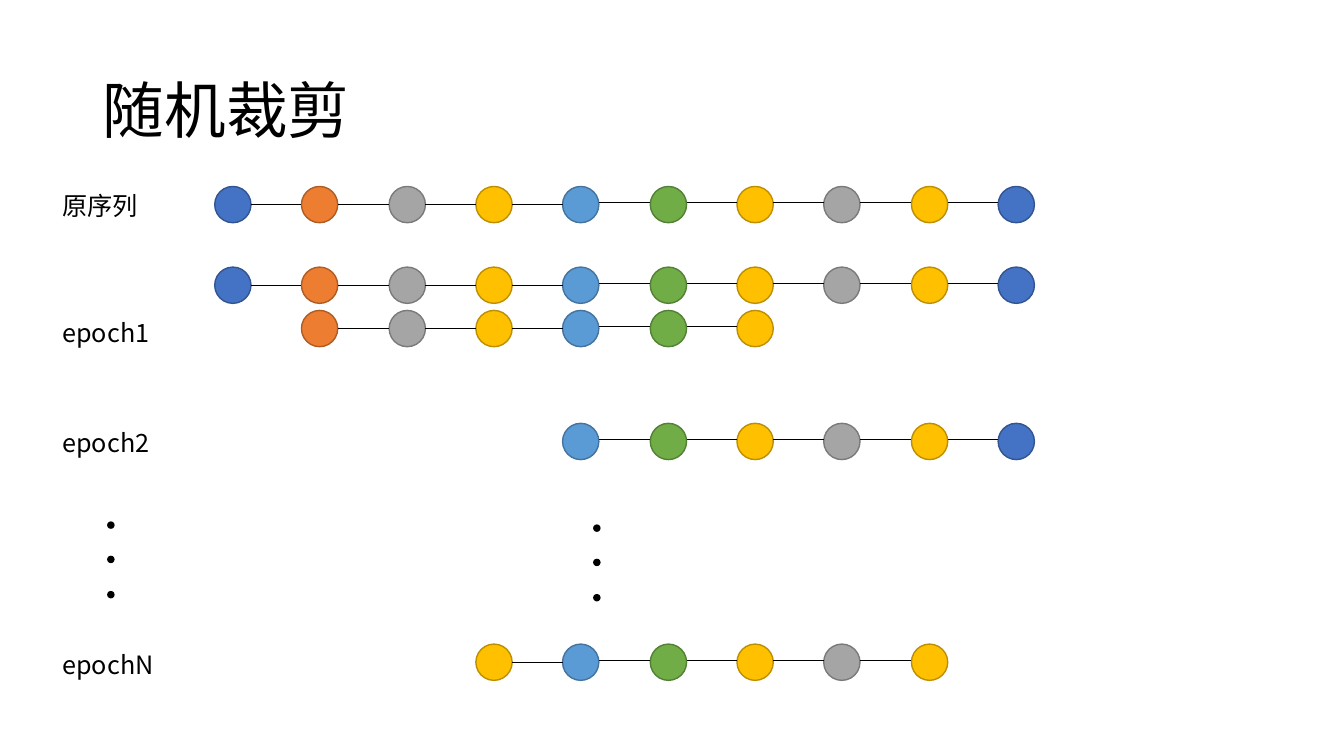
from dataclasses import dataclass

from lxml import etree
from pptx import Presentation
from pptx.dml.color import RGBColor
from pptx.enum import shapes, text
from pptx.oxml import ns
from pptx.util import Pt

PX = 9144
NODE_SIZE = 36
FIRST_LEFT, LAST_LEFT = 213, 990
DOT_SIZE = 6


@dataclass(frozen=True)
class Theme:
    """Colours, type sizes and line widths of the slide."""
    font: str = "Noto Sans CJK SC"
    ink: str = "000000"
    blue: tuple = ("4472C4", "325491")
    orange: tuple = ("ED7D31", "AF5C24")
    grey: tuple = ("A5A5A5", "7A7A7A")
    yellow: tuple = ("FFC000", "BD8E00")
    sky: tuple = ("5B9BD5", "43739E")
    green: tuple = ("70AD47", "538035")
    title_size: int = 44
    label_size: int = 18
    outline: float = 1
    link: float = 0.5


THEME = Theme()
SEQUENCE = [
    THEME.blue, THEME.orange, THEME.grey, THEME.yellow, THEME.sky,
    THEME.green, THEME.yellow, THEME.grey, THEME.yellow, THEME.blue,
]


def px(*lengths):
    """Turn pixel lengths into EMU."""
    return [length * PX for length in lengths]


def rgb(code):
    """Make a colour from its hex code."""
    return RGBColor.from_string(code)


def write(paragraph, words, size):
    """Add one run in the theme font, for Latin and East Asian text."""
    run = paragraph.add_run()
    run.text = words
    run.font.name = THEME.font
    run.font.size = Pt(size)
    run.font.color.rgb = rgb(THEME.ink)
    east_asian = etree.SubElement(run.font._element, ns.qn("a:ea"))
    east_asian.set("typeface", THEME.font)


def set_title(slide, words):
    """Place and fill the title placeholder."""
    title = slide.shapes.title
    title.left, title.top, title.width, title.height = px(92, 40, 1150, 145)
    frame = title.text_frame
    frame.auto_size = text.MSO_AUTO_SIZE.NONE
    frame.vertical_anchor = text.MSO_ANCHOR.MIDDLE
    heading = frame.paragraphs[0]
    heading.alignment = text.PP_ALIGN.LEFT
    heading.line_spacing = 0.9
    write(heading, words, THEME.title_size)


def add_label(slide, words, top):
    """Add a row label at the left edge."""
    label = slide.shapes.add_textbox(*px(52, top, 122, 40))
    frame = label.text_frame
    frame.word_wrap = True
    frame.auto_size = text.MSO_AUTO_SIZE.SHAPE_TO_FIT_TEXT
    write(frame.paragraphs[0], words, THEME.label_size)


def add_circle(holder, left, top, size, fill, outline):
    """Add a filled circle to a slide or group."""
    circle = holder.shapes.add_shape(
        shapes.MSO_SHAPE.OVAL, *px(left, top, size, size))
    circle.shadow.inherit = False
    circle.fill.solid()
    circle.fill.fore_color.rgb = rgb(fill)
    circle.line.color.rgb = rgb(outline)
    circle.line.width = Pt(THEME.outline)


def add_link(slide, start, end, y):
    """Add a thin horizontal line between two nodes."""
    link = slide.shapes.add_connector(
        shapes.MSO_CONNECTOR.STRAIGHT, *px(start, y, end, y))
    link.line.color.rgb = rgb(THEME.ink)
    link.line.width = Pt(THEME.link)
    etree.SubElement(link._element.spPr, ns.qn("a:effectLst"))


def node_left(index):
    """Give the left edge of a sequence position."""
    return FIRST_LEFT + round(index * (LAST_LEFT - FIRST_LEFT) / (len(SEQUENCE) - 1))


def add_chain(slide, top, start=0, count=len(SEQUENCE)):
    """Draw a linked stretch of the sequence."""
    stop = start + count
    for index in range(start, stop):
        add_circle(slide, node_left(index), top, NODE_SIZE, *SEQUENCE[index])
    for index in range(start, stop - 1):
        rise = 0 if index < 4 else 2
        add_link(slide, node_left(index) + NODE_SIZE, node_left(index + 1),
                 top + NODE_SIZE // 2 - rise)


def add_ellipsis(slide, left, top):
    """Add a group of three stacked dots."""
    dots = slide.shapes.add_group_shape()
    for step in range(3):
        add_circle(dots, left, top + round(step * 34.5), DOT_SIZE, THEME.ink, THEME.ink)


def main():
    """Build the random cropping slide."""
    deck = Presentation()
    deck.slide_width, deck.slide_height = px(1333, 750)
    slide = deck.slides.add_slide(deck.slide_layouts[5])
    set_title(slide, "随机裁剪")

    for words, top in [("原序列", 184), ("epoch1", 310), ("epoch2", 419), ("epochN", 639)]:
        add_label(slide, words, top)

    for top in (185, 265):
        add_chain(slide, top)
    for top, start in [(308, 1), (420, 4), (639, 3)]:
        add_chain(slide, top, start, 6)

    add_ellipsis(slide, 107, 518)
    add_ellipsis(slide, 589, 521)
    deck.save("out.pptx")


if __name__ == "__main__":
    main()
